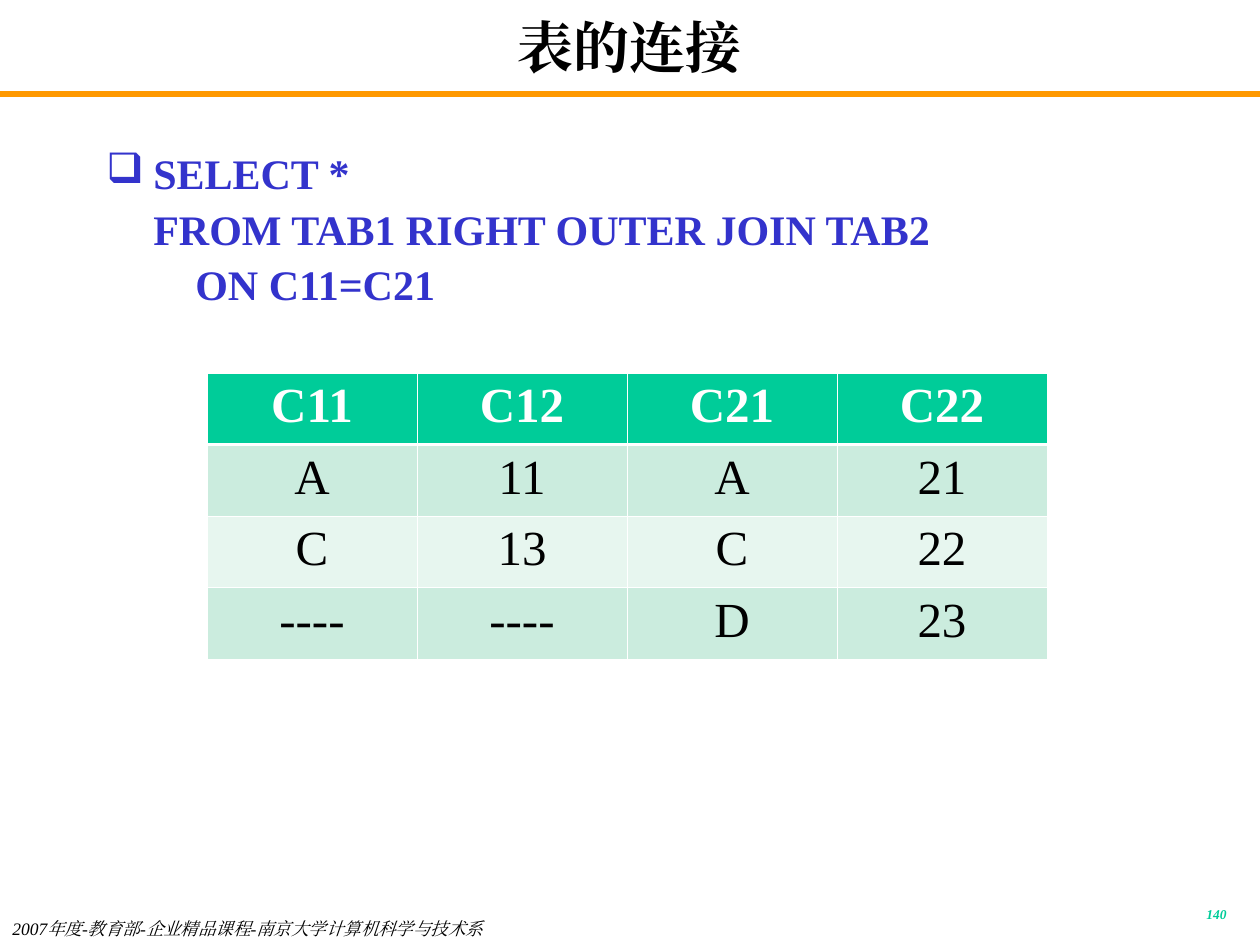
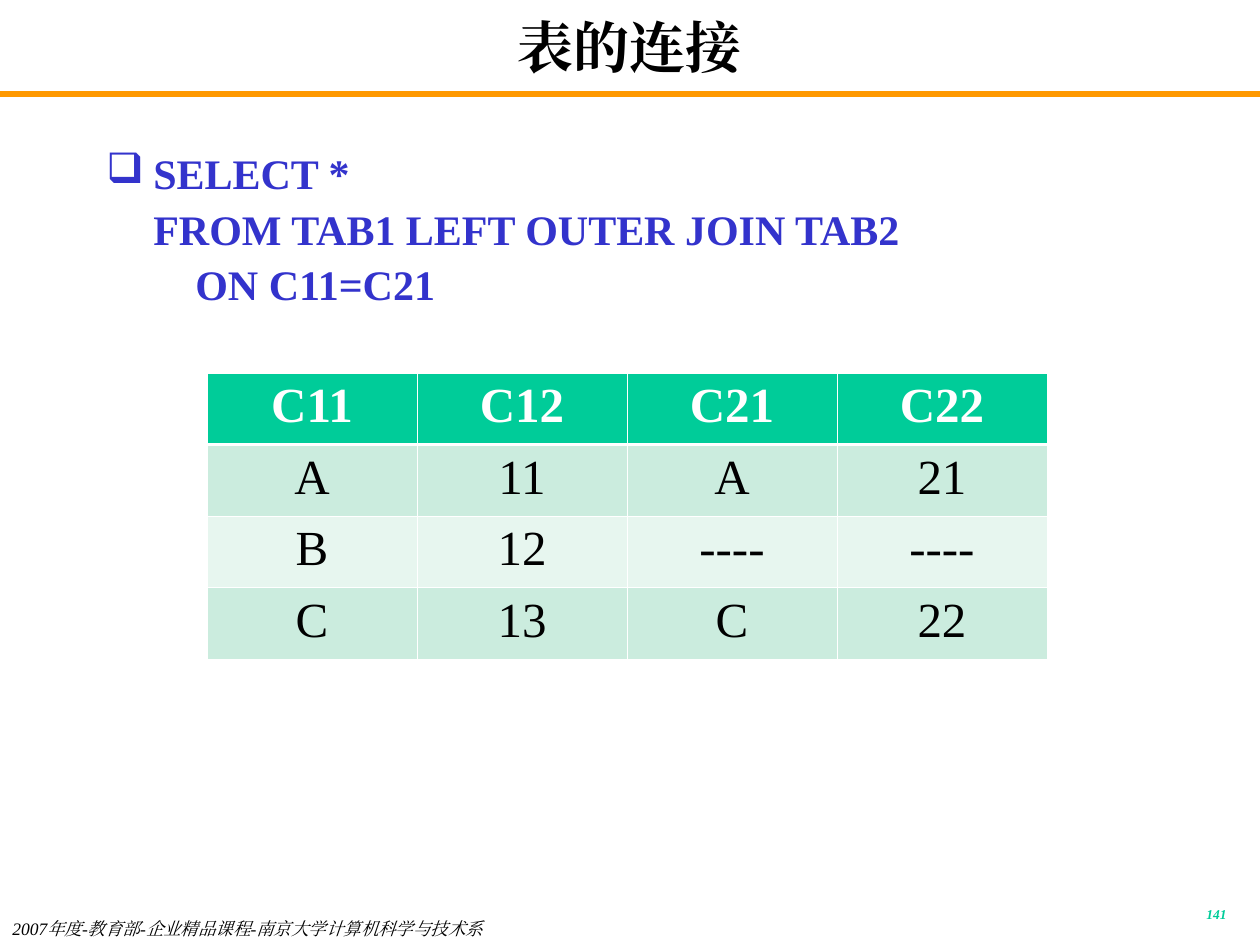
from lxml.etree import SubElement
from pptx import Presentation
from pptx.dml.color import RGBColor
from pptx.enum.shapes import MSO_CONNECTOR
from pptx.enum.text import MSO_ANCHOR, PP_ALIGN
from pptx.oxml.ns import qn
from pptx.util import Pt

PX = 7257  # EMU in one px, 126 px to the inch
WIDTH, HEIGHT = 1260, 945
FONT = "Times New Roman"
COLORS = {
    "background": "FFFFFF",
    "rule": "FF9900",
    "text": "000000",
    "query": "3333CC",
    "accent": "00CC99",
    "header_text": "FFFFFF",
    "border": "FFFFFF",
    "odd_row": "CBECDE",
    "even_row": "E7F6EF",
}

TITLE = "表的连接"
FOOTER = "2007年度-教育部-企业精品课程-南京大学计算机科学与技术系"
HEADER = ("C11", "C12", "C21", "C22")
JOINS = [
    {
        "number": 140,
        "query": ["SELECT *", "FROM TAB1 RIGHT OUTER JOIN TAB2", "    ON C11=C21"],
        "rows": [
            ("A", "11", "A", "21"),
            ("C", "13", "C", "22"),
            ("----", "----", "D", "23"),
        ],
    },
    {
        "number": 141,
        "query": ["SELECT *", "FROM TAB1 LEFT OUTER JOIN TAB2", "    ON C11=C21"],
        "rows": [
            ("A", "11", "A", "21"),
            ("B", "12", "----", "----"),
            ("C", "13", "C", "22"),
        ],
    },
]


def px(value):
    return round(value * PX)


def color(name):
    return RGBColor.from_string(COLORS[name])


def add_run(paragraph, text, size, color_name, bold=False, italic=False):
    run = paragraph.add_run()
    run.text = text
    font = run.font
    font.name, font.size, font.bold, font.italic = FONT, Pt(size), bold, italic
    font.color.rgb = color(color_name)
    latin = run._r.rPr.find(qn("a:latin"))
    latin.addnext(latin.makeelement(qn("a:ea"), {"typeface": FONT}))


def add_box(slide, left, top, width, height, inset_y=6, align=PP_ALIGN.LEFT,
            anchor=MSO_ANCHOR.TOP):
    """Add a text box and return its first paragraph."""
    frame = slide.shapes.add_textbox(px(left), px(top), px(width), px(height)).text_frame
    frame.word_wrap = True
    frame.vertical_anchor = anchor
    frame.margin_top = frame.margin_bottom = px(inset_y)
    paragraph = frame.paragraphs[0]
    paragraph.alignment = align
    return paragraph


def add_frame(slide, number):
    """Add the parts that every slide shares."""
    slide.background.fill.solid()
    slide.background.fill.fore_color.rgb = color("background")
    rule = slide.shapes.add_connector(MSO_CONNECTOR.STRAIGHT, 0, px(94), px(WIDTH), px(94))
    rule.line.color.rgb = color("rule")
    rule.line.width = Pt(3)
    SubElement(rule._element.spPr, qn("a:effectLst"))

    title = add_box(slide, 94, 10, 1072, 73, align=PP_ALIGN.CENTER, anchor=MSO_ANCHOR.MIDDLE)
    add_run(title, TITLE, 32, "text", bold=True)
    footer = add_box(slide, 0, 918, 789, 27, inset_y=0)
    add_run(footer, FOOTER, 10, "text", italic=True)
    page = add_box(slide, 977, 903, 262, 32, align=PP_ALIGN.RIGHT)
    page.line_spacing = 0.8
    add_run(page, str(number), 7.7, "accent", bold=True, italic=True)


def add_query(slide, lines):
    paragraph = add_box(slide, 94, 126, 1072, 746, inset_y=17)
    paragraph.line_spacing = 1.1
    properties = paragraph._p.get_or_add_pPr()
    properties.set("marL", str(px(47)))
    properties.set("indent", str(px(-47)))
    bullet_color = SubElement(properties, qn("a:buClr"))
    SubElement(bullet_color, qn("a:srgbClr"), val=COLORS["query"])
    SubElement(properties, qn("a:buChar"), char="❑")
    for index, line in enumerate(lines):
        if index:
            paragraph.add_line_break()
        add_run(paragraph, line, 24, "query", bold=True)


def set_borders(cell, top, bottom):
    properties = cell._tc.get_or_add_tcPr()
    for side, points in (("L", 0.45), ("R", 0.45), ("T", top), ("B", bottom)):
        line = SubElement(properties, qn(f"a:ln{side}"), w=str(Pt(points)))
        fill = SubElement(line, qn("a:solidFill"))
        SubElement(fill, qn("a:srgbClr"), val=COLORS["border"])


def add_result(slide, rows):
    rows = [HEADER, *rows]
    table = slide.shapes.add_table(
        len(rows), len(HEADER), px(207), px(373), px(840), px(286)).table
    for row_index, row in enumerate(rows):
        is_header = row_index == 0
        fill = "accent" if is_header else "odd_row" if row_index % 2 else "even_row"
        for column_index, text in enumerate(row):
            cell = table.cell(row_index, column_index)
            set_borders(cell, top=1.47 if row_index == 1 else 0.45,
                        bottom=1.47 if is_header else 0.45)
            cell.fill.solid()
            cell.fill.fore_color.rgb = color(fill)
            paragraph = cell.text_frame.paragraphs[0]
            paragraph.alignment = PP_ALIGN.CENTER
            add_run(paragraph, text, 28, "header_text" if is_header else "text", bold=is_header)


def main():
    presentation = Presentation()
    presentation.slide_width, presentation.slide_height = px(WIDTH), px(HEIGHT)
    for join in JOINS:
        slide = presentation.slides.add_slide(presentation.slide_layouts[6])
        add_frame(slide, join["number"])
        add_query(slide, join["query"])
        add_result(slide, join["rows"])
    presentation.save("out.pptx")


if __name__ == "__main__":
    main()
